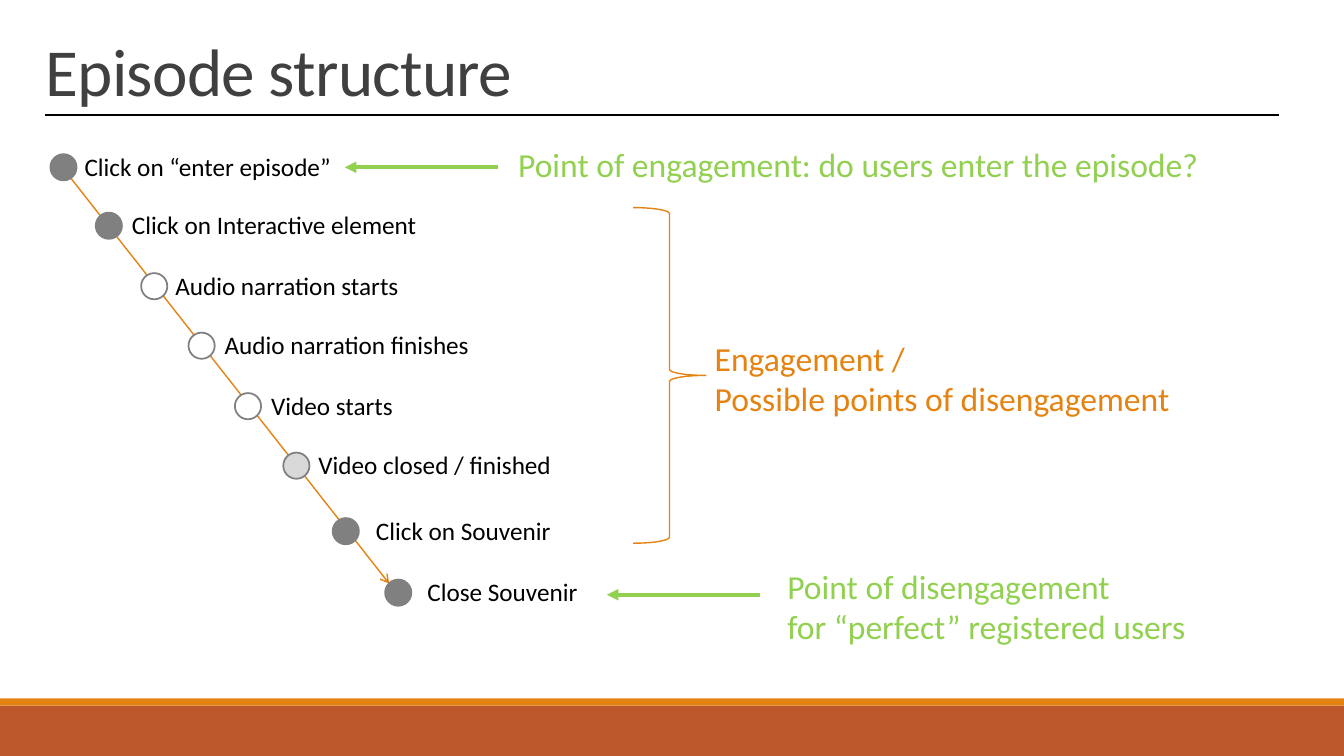
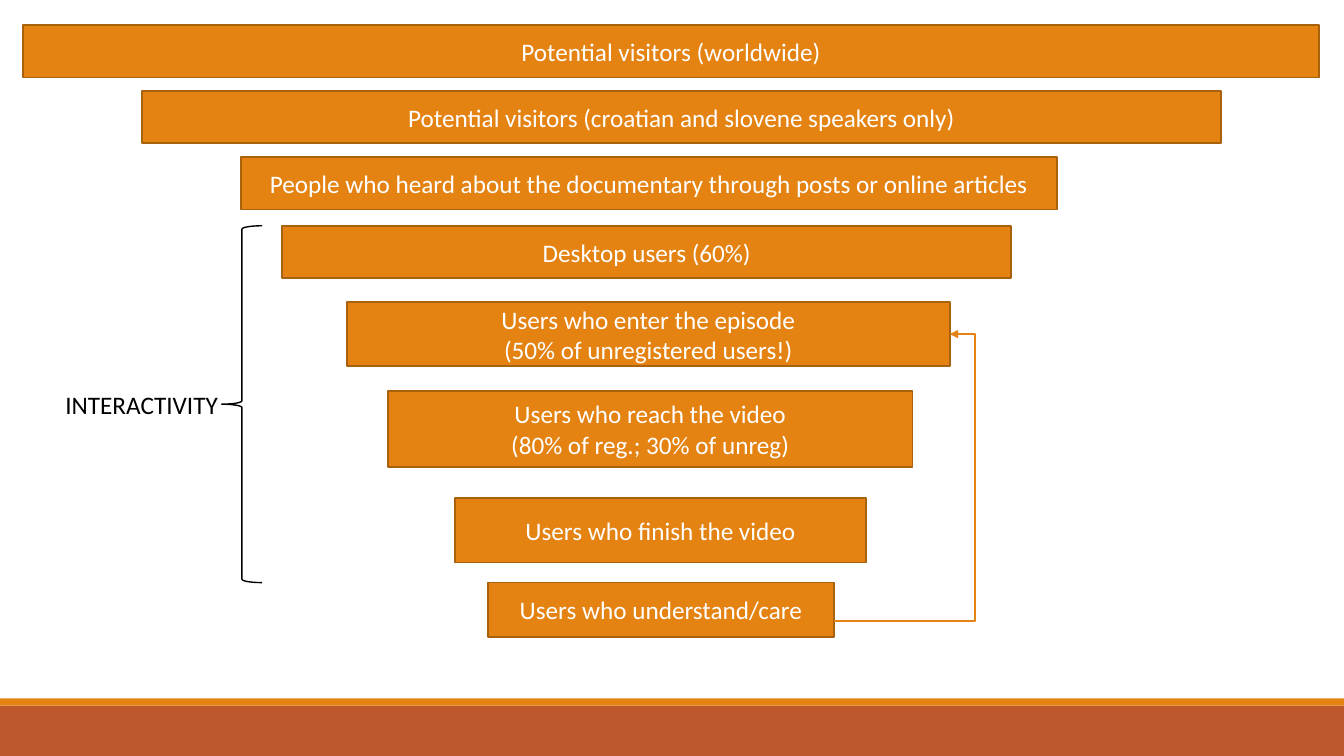
from dataclasses import dataclass

from lxml import etree
from pptx import Presentation
from pptx.dml.color import RGBColor
from pptx.enum.shapes import MSO_CONNECTOR, MSO_SHAPE
from pptx.enum.text import MSO_ANCHOR, PP_ALIGN
from pptx.oxml.ns import qn
from pptx.util import Inches, Pt

RECT, OVAL = MSO_SHAPE.RECTANGLE, MSO_SHAPE.OVAL
LEFT_BRACE, RIGHT_BRACE = MSO_SHAPE.LEFT_BRACE, MSO_SHAPE.RIGHT_BRACE
STRAIGHT, ELBOW = MSO_CONNECTOR.STRAIGHT, MSO_CONNECTOR.ELBOW
LEFT, CENTER = PP_ALIGN.LEFT, PP_ALIGN.CENTER
TOP, MIDDLE, BOTTOM = MSO_ANCHOR.TOP, MSO_ANCHOR.MIDDLE, MSO_ANCHOR.BOTTOM


@dataclass(frozen=True)
class Theme:
    font: str = "Calibri"
    title_size: int = 48
    note_size: int = 24
    body_size: int = 18
    orange: str = "E48312"
    orange_dark: str = "A9610D"
    rust: str = "BD582C"
    green: str = "92D050"
    gray: str = "808080"
    light: str = "D9D9D9"
    white: str = "FFFFFF"
    black: str = "000000"
    heading: str = "404040"
    thin: float = 1
    outline: float = 1.25
    thick: float = 2.75


T = Theme()
SLIDE_W, SLIDE_H = 13.33, 7.5

# Shared bands: top, height, colour
BANDS = [(7, 0.5, T.rust), (6.93, 0.07, T.orange)]

# Episode steps: label, label left, label width, dot left, dot top, dot fill
DOT, LABEL_RISE, LABEL_H = 0.26, 0.08, 0.4
STEPS = [
    ("Click on “enter episode”", 0.74, 2.73, 0.5, 1.53, T.gray),
    ("Click on Interactive element", 1.21, 3.06, 0.95, 2.11, T.gray),
    ("Audio narration starts", 1.64, 2.44, 1.4, 2.71, T.white),
    ("Audio narration finishes", 2.13, 2.65, 1.87, 3.3, T.white),
    ("Video starts", 2.59, 1.42, 2.33, 3.9, T.white),
    ("Video closed / finished", 3.06, 2.54, 2.81, 4.49, T.light),
    ("Click on Souvenir", 3.63, 1.95, 3.3, 5.14, T.gray),
    ("Close Souvenir", 4.14, 1.71, 3.82, 5.75, T.gray),
]
# Notes beside the steps: lines, box, colour
NOTES = [
    (["Point of engagement: do users enter the episode?"],
     (5.04, 1.38, 7.01, 0.5), T.green),
    (["Engagement /", "Possible points of disengagement"],
     (6.99, 3.3, 5.6, 0.91), T.orange),
    (["Point of disengagement", "for “perfect” registered users"],
     (7.71, 5.56, 4.19, 0.91), T.green),
]
# Arrows from note to step: right end, y
NOTE_ARROWS, NOTE_ARROW_LEN = [(4.94, 1.66), (7.54, 5.9)], 1.52

# Audience funnel: lines, box
FUNNEL = [
    (["Potential visitors (worldwide)"], (0.23, 0.25, 12.85, 0.52)),
    (["Potential visitors (croatian and slovene speakers only)"],
     (1.41, 0.9, 10.7, 0.52)),
    (["People who heard about the documentary through posts or online articles"],
     (2.39, 1.56, 8.09, 0.52)),
    (["Desktop users (60%)"], (2.8, 2.24, 7.23, 0.52)),
    (["Users who enter the episode", "(50% of unregistered users!)"],
     (3.44, 3, 5.98, 0.63)),
    (["Users who reach the video", "(80% of reg.; 30% of unreg)"],
     (3.85, 3.88, 5.2, 0.75)),
    (["Users who finish the video"], (4.51, 4.94, 4.08, 0.64)),
    (["Users who understand/care"], (4.84, 5.78, 3.43, 0.54)),
]
ENTER_STEP = 4
RETURN_START, RETURN_END, RETURN_X = (8.27, 6.16), (9.42, 3.32), 9.67


def rgb(color):
    return RGBColor.from_string(color)


def write(tf, lines, size=T.body_size, color=T.black, align=LEFT,
          anchor=TOP, wrap=True):
    tf.word_wrap = wrap
    tf.vertical_anchor = anchor
    for i, line in enumerate(lines):
        p = tf.paragraphs[0] if i == 0 else tf.add_paragraph()
        p.alignment = align
        r = p.add_run()
        r.text = line
        r.font.name = T.font
        r.font.size = Pt(size)
        r.font.color.rgb = rgb(color)


def text_box(s, lines, box, **fmt):
    tb = s.shapes.add_textbox(*map(Inches, box))
    write(tb.text_frame, lines, wrap=False, **fmt)


def shape(s, kind, box, fill=None, line=None, width=T.outline):
    sp = s.shapes.add_shape(kind, *map(Inches, box))
    sp.shadow.inherit = False
    if fill:
        sp.fill.solid()
        sp.fill.fore_color.rgb = rgb(fill)
    else:
        sp.fill.background()
    if line:
        sp.line.color.rgb = rgb(line)
        sp.line.width = Pt(width)
    else:
        sp.line.fill.background()
    return sp


def connector(s, start, end, color, width=T.thin, kind=STRAIGHT, head=None):
    c = s.shapes.add_connector(kind, *map(Inches, start + end))
    c.line.color.rgb = rgb(color)
    c.line.width = Pt(width)
    sp_pr = c.element.spPr
    if head:
        etree.SubElement(sp_pr.find(qn("a:ln")), qn("a:tailEnd"), type=head)
    etree.SubElement(sp_pr, qn("a:effectLst"))
    return c


def add_bands(prs, s):
    """Draw the bands and move them to the master, behind its placeholders."""
    tree = prs.slide_master.shapes.element
    for i, (top, height, color) in enumerate(BANDS):
        band = shape(s, RECT, (0, top, SLIDE_W, height), color)
        tree.insert(2 + i, band.element)


def episode_slide(s):
    # Title and rule
    title = s.shapes.title
    title.left, title.top, title.width, title.height = map(
        Inches, (0.35, 0.18, 11, 0.96))
    write(title.text_frame, ["Episode structure"], size=T.title_size,
          color=T.heading, anchor=BOTTOM)
    title.text_frame.paragraphs[0].line_spacing = 0.85
    for r_pr in title.element.iter(qn("a:rPr")):
        r_pr.set("spc", "-50")
    connector(s, (0.45, 1.14), (12.69, 1.14), T.black)

    # Path of steps
    connector(s, (0.54, 1.56), (3.86, 5.79), T.orange, head="arrow")
    for label, left, width, x, y, fill in STEPS:
        shape(s, OVAL, (x, y, DOT, DOT), fill, T.gray)
        text_box(s, [label], (left, y - LABEL_RISE, width, LABEL_H))

    # Notes, brace and arrows
    shape(s, RIGHT_BRACE, (6.28, 2.06, 0.72, 3.33), line=T.orange, width=T.thin)
    for lines, box, color in NOTES:
        text_box(s, lines, box, size=T.note_size, color=color)
    for x, y in NOTE_ARROWS:
        connector(s, (x, y), (x - NOTE_ARROW_LEN, y), T.green, T.thick,
                  head="triangle")


def funnel_slide(s):
    # Funnel bars
    bars = []
    for lines, box in FUNNEL:
        bar = shape(s, RECT, box, T.orange, T.orange_dark)
        write(bar.text_frame, lines, color=T.white, align=CENTER, anchor=MIDDLE)
        bars.append(bar)

    # Return path to the episode
    back = connector(s, RETURN_START, RETURN_END, T.orange, kind=ELBOW,
                     head="triangle")
    back.end_connect(bars[ENTER_STEP], 3)
    reach = (RETURN_X - RETURN_START[0]) / (RETURN_END[0] - RETURN_START[0])
    guides = back.element.spPr.find(qn("a:prstGeom")).find(qn("a:avLst"))
    etree.SubElement(guides, qn("a:gd"), name="adj1",
                     fmla=f"val {round(reach * 100000)}")

    # Interactive part
    shape(s, LEFT_BRACE, (2.2, 2.24, 0.4, 3.54), line=T.black, width=T.thin)
    text_box(s, ["INTERACTIVITY"], (0.55, 3.81, 1.73, LABEL_H))


def main():
    prs = Presentation()
    prs.slide_width, prs.slide_height = Inches(SLIDE_W), Inches(SLIDE_H)
    title_only, blank = prs.slide_layouts[5], prs.slide_layouts[6]
    episode = prs.slides.add_slide(title_only)
    add_bands(prs, episode)
    episode_slide(episode)
    funnel_slide(prs.slides.add_slide(blank))
    prs.save("out.pptx")


if __name__ == "__main__":
    main()
